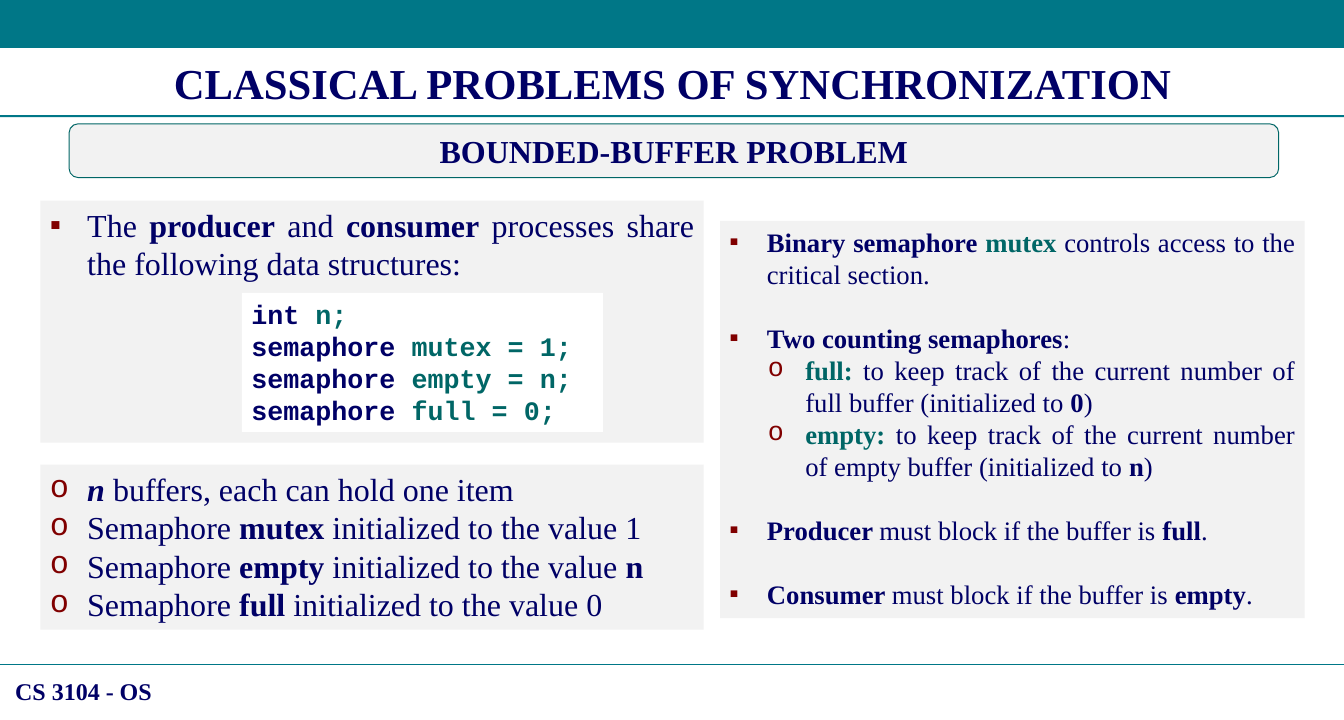
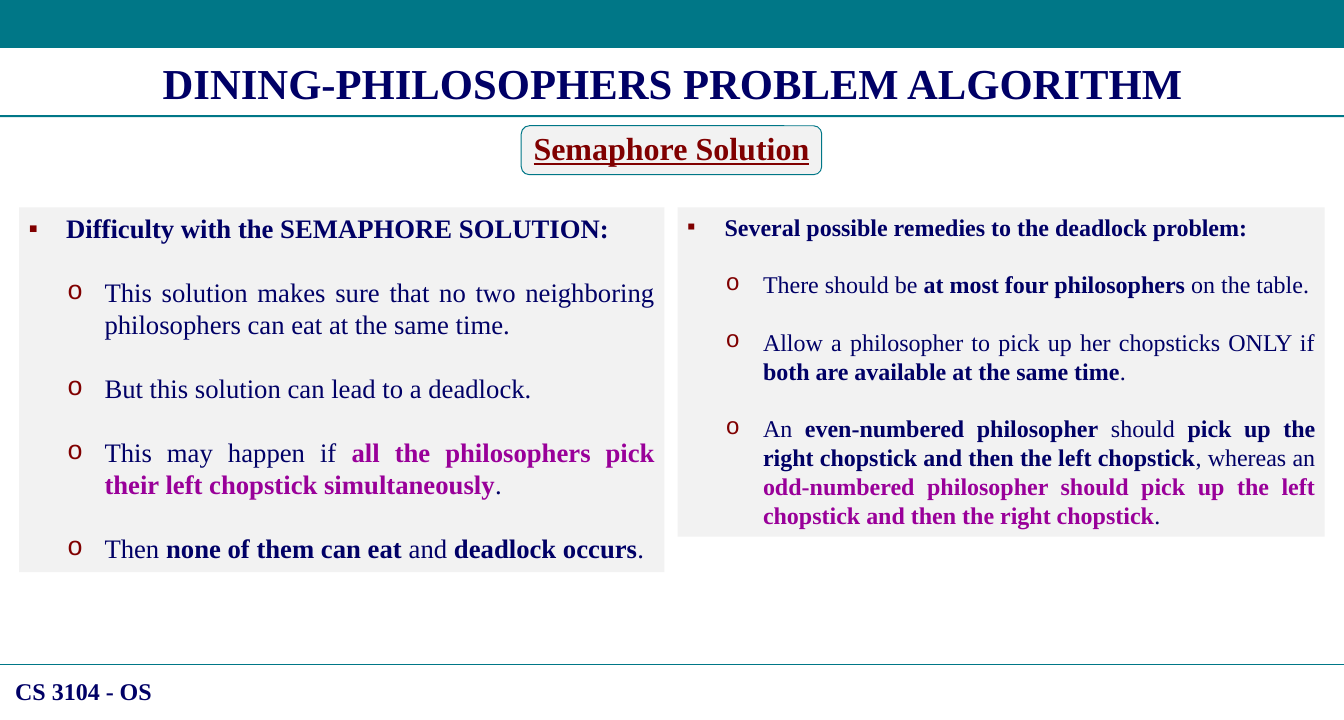
from dataclasses import dataclass

from lxml import etree
from pptx import Presentation
from pptx.dml.color import RGBColor
from pptx.enum.shapes import MSO_CONNECTOR as Connector, MSO_SHAPE as Preset
from pptx.enum.text import MSO_ANCHOR as Anchor, MSO_AUTO_SIZE as AutoSize, PP_ALIGN as Align
from pptx.oxml.ns import qn
from pptx.slide import Slide
from pptx.util import Inches, Pt

COLORS = {
    "navy": "000066",
    "band": "007787",
    "teal": "006666",
    "maroon": "800000",
    "purple": "990099",
    "panel": "F2F2F2",
    "white": "FFFFFF",
}
SERIF, MONO = "Times New Roman", "Courier New"
WIDTH, HEIGHT = 14, 7.5
HANGING, LEVEL_STEP = 0.39, 0.4
BULLETS = {"▪": SERIF, "o": MONO}
LINE_FACTOR = 1.2  # line height relative to text size


@dataclass(frozen=True)
class Span:
    text: str
    bold: bool = False
    color: str = "navy"
    italic: bool = False
    underline: bool = False


@dataclass(frozen=True)
class Item:
    spans: list[Span]
    bullet: str = ""
    level: int = 0
    gap: bool = False  # one line of space above


@dataclass(frozen=True)
class Panel:
    box: tuple[float, float, float, float]
    items: list[Item]
    size: int
    font: str = SERIF
    fill: str = "panel"
    outline: str = ""
    preset: Preset = Preset.RECTANGLE
    align: Align = Align.JUSTIFY
    anchor: Anchor = Anchor.TOP
    wrap: bool = True


def rgb(name: str) -> RGBColor:
    return RGBColor.from_string(COLORS[name])


def strong(text: str, color: str = "navy") -> Span:
    return Span(text, True, color)


def place(shape, box: tuple[float, float, float, float]) -> None:
    shape.left, shape.top, shape.width, shape.height = map(Inches, box)


def add_bullet(paragraph, item: Item) -> None:
    properties = paragraph._p.get_or_add_pPr()
    properties.set("marL", str(Inches(HANGING + LEVEL_STEP * item.level)))
    properties.set("indent", str(-Inches(HANGING)))
    color = etree.SubElement(properties, qn("a:buClr"))
    etree.SubElement(color, qn("a:srgbClr"), val=COLORS["maroon"])
    etree.SubElement(properties, qn("a:buFont"), typeface=BULLETS[item.bullet])
    etree.SubElement(properties, qn("a:buChar"), char=item.bullet)


def write_items(frame, items: list[Item], size: int, font: str, align: Align) -> None:
    for index, item in enumerate(items):
        paragraph = frame.paragraphs[0] if index == 0 else frame.add_paragraph()
        if item.bullet:
            add_bullet(paragraph, item)
        paragraph.alignment = align
        if item.gap:
            paragraph.space_before = Pt(size * LINE_FACTOR)
        for span in item.spans:
            run = paragraph.add_run()
            run.text = span.text
            run.font.name, run.font.size = font, Pt(size)
            run.font.bold, run.font.italic = span.bold, span.italic
            run.font.underline = span.underline
            run.font.color.rgb = rgb(span.color)


def add_block(slide: Slide, box: tuple[float, float, float, float], fill: str,
              outline: str = "", preset: Preset = Preset.RECTANGLE):
    block = slide.shapes.add_shape(preset, *map(Inches, box))
    block.shadow.inherit = False
    block.fill.solid()
    block.fill.fore_color.rgb = rgb(fill)
    if outline:
        block.line.color.rgb = rgb(outline)
        block.line.width = Pt(0.75)
    else:
        block.line.fill.background()
    return block


def add_panel(slide: Slide, panel: Panel) -> None:
    block = add_block(slide, panel.box, panel.fill, panel.outline, panel.preset)
    frame = block.text_frame
    frame.word_wrap = panel.wrap
    frame.auto_size = AutoSize.SHAPE_TO_FIT_TEXT
    frame.vertical_anchor = panel.anchor
    write_items(frame, panel.items, panel.size, panel.font, panel.align)


def add_heading(slide: Slide, box: tuple[float, float, float, float], span: Span,
                outline: str, wrap: bool = True) -> None:
    add_panel(slide, Panel(box, [Item([span])], 24, outline=outline,
                           preset=Preset.ROUNDED_RECTANGLE, align=Align.CENTER,
                           anchor=Anchor.MIDDLE, wrap=wrap))


def start_slide(deck, title_text: str) -> Slide:
    """Add a slide with the shared bands, rules, course label and title."""
    slide = deck.slides.add_slide(deck.slide_layouts[5])
    add_block(slide, (0, 0, WIDTH, 0.5), "band")
    add_block(slide, (0, 1.2, WIDTH, 0.02), "band")

    footer_rule = slide.shapes.add_connector(
        Connector.STRAIGHT, 0, Inches(6.92), Inches(WIDTH), Inches(6.92))
    footer_rule.line.color.rgb = rgb("band")
    footer_rule.line.width = Pt(1)
    etree.SubElement(footer_rule._element.spPr, qn("a:effectLst"))

    course = slide.shapes.add_textbox(*map(Inches, (0.06, 7, 1.8, 0.4)))
    course.text_frame.word_wrap = True
    write_items(course.text_frame, [Item([strong("CS 3104 - OS")])], 18, SERIF, Align.LEFT)

    title = slide.shapes.title
    place(title, (0.12, 0.54, 13.78, 0.64))
    title.text_frame.vertical_anchor = Anchor.TOP
    title.text_frame.auto_size = AutoSize.NONE
    write_items(title.text_frame, [Item([strong(title_text)])], 32, SERIF, Align.CENTER)
    return slide


def build_bounded_buffer(deck) -> None:
    slide = start_slide(deck, "CLASSICAL PROBLEMS OF SYNCHRONIZATION")
    add_heading(slide, (0.72, 1.29, 12.6, 0.56), strong("BOUNDED-BUFFER PROBLEM"), "teal")

    # Shared data and its starting values
    add_panel(slide, Panel((0.42, 4.84, 6.91, 1.72), [
        Item([Span("n", True, italic=True), Span(" buffers, each can hold one item")], "o"),
        *(Item([Span("Semaphore "), strong(name), Span(" initialized to the value "),
                Span(value, value == "n")], "o")
          for name, value in (("mutex", "1"), ("empty", "n"), ("full", "0"))),
    ], 24))
    shared_data = Panel((0.42, 2.09, 6.91, 2.52), [
        Item([Span("The "), strong("producer"), Span(" and "), strong("consumer"),
              Span(" processes share the following data structures:")], "▪"),
    ], 24)
    add_panel(slide, shared_data)
    # The backing panel stays taller than its text to hold the code
    slide.shapes[-1].text_frame.auto_size = AutoSize.NONE

    declarations = (("int", " n;"), ("semaphore", " mutex = 1;"),
                    ("semaphore", " empty = n;"), ("semaphore", " full = 0;"))
    add_panel(slide, Panel((2.52, 3.05, 3.76, 1.45), [
        Item([strong(kind), strong(rest, "teal")]) for kind, rest in declarations
    ], 20, MONO, "white", align=Align.LEFT))

    # Role of each semaphore
    counters = (("full:", " to keep track of the current number of full buffer"
                 " (initialized to ", "0"),
                ("empty:", " to keep track of the current number of empty buffer"
                 " (initialized to ", "n"))
    blocking = (("Producer ", "full"), ("Consumer ", "empty"))
    add_panel(slide, Panel((7.5, 2.3, 6.09, 4.14), [
        Item([strong("Binary semaphore "), strong("mutex", "teal"),
              Span(" controls access to the critical section.")], "▪"),
        Item([strong("Two counting semaphores"), Span(":")], "▪", gap=True),
        *(Item([strong(name, "teal"), Span(role), strong(value), Span(")")], "o", 1)
          for name, role, value in counters),
        *(Item([strong(process), Span("must block if the buffer is "),
                strong(state), Span(".")], "▪", gap=True)
          for process, state in blocking),
    ], 20))


def outline_items(heading: str, points: list[list[Span]]) -> list[Item]:
    return [Item([strong(heading)], "▪"),
            *(Item(spans, "o", 1, True) for spans in points)]


def build_dining_philosophers(deck) -> None:
    slide = start_slide(deck, "DINING-PHILOSOPHERS PROBLEM ALGORITHM")
    add_heading(slide, (5.43, 1.31, 3.13, 0.51),
                Span("Semaphore Solution", True, "maroon", underline=True), "band", False)
    slide.shapes[-1].text_frame.paragraphs[0].line_spacing = 0.9

    # Difficulty
    add_panel(slide, Panel((0.2, 2.16, 6.72, 3.8), outline_items(
        "Difficulty with the SEMAPHORE SOLUTION:", [
            [Span("This solution makes sure that no two neighboring philosophers"
                  " can eat at the same time.")],
            [Span("But this solution can lead to a deadlock.")],
            [Span("This may happen if "),
             strong("all the philosophers pick their left chopstick simultaneously", "purple"),
             Span(".")],
            [Span("Then "), strong("none of them can eat"), Span(" and "),
             strong("deadlock occurs"), Span(".")],
        ]), 20))

    # Remedies
    add_panel(slide, Panel((7.06, 2.16, 6.74, 3.43), outline_items(
        "Several possible remedies to the deadlock problem:", [
            [Span("There should be "), strong("at most four philosophers"),
             Span(" on the table.")],
            [Span("Allow a philosopher to pick up her chopsticks ONLY if "),
             strong("both are available at the same time"), Span(".")],
            [Span("An "), strong("even-numbered philosopher"), Span(" should "),
             strong("pick up the right chopstick and then the left chopstick"),
             Span(", whereas an "),
             strong("odd-numbered philosopher should pick up the left chopstick"
                    " and then the right chopstick", "purple"),
             Span(".")],
        ]), 18))


def main() -> None:
    deck = Presentation()
    deck.slide_width, deck.slide_height = Inches(WIDTH), Inches(HEIGHT)
    build_bounded_buffer(deck)
    build_dining_philosophers(deck)
    deck.save("out.pptx")


if __name__ == "__main__":
    main()
